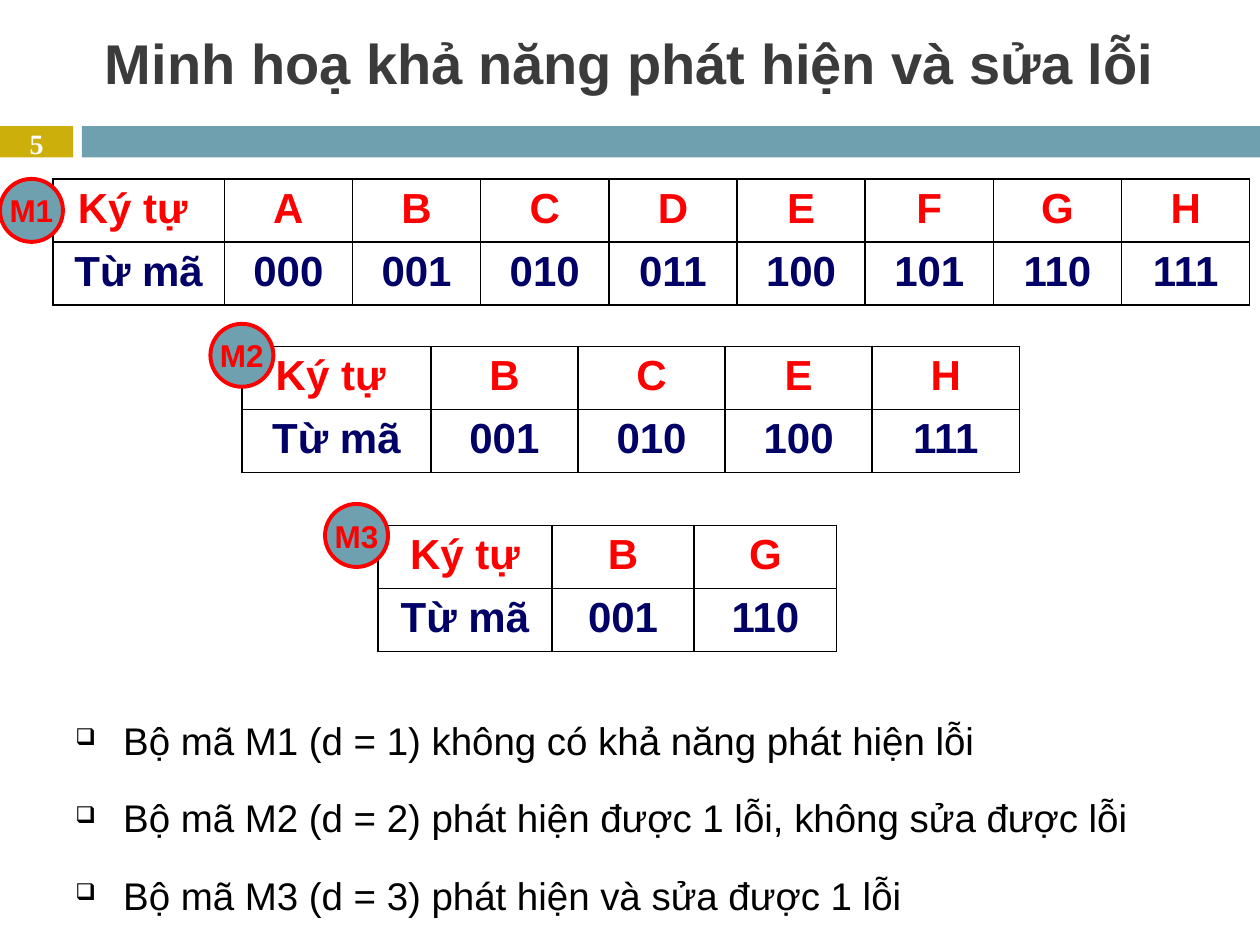
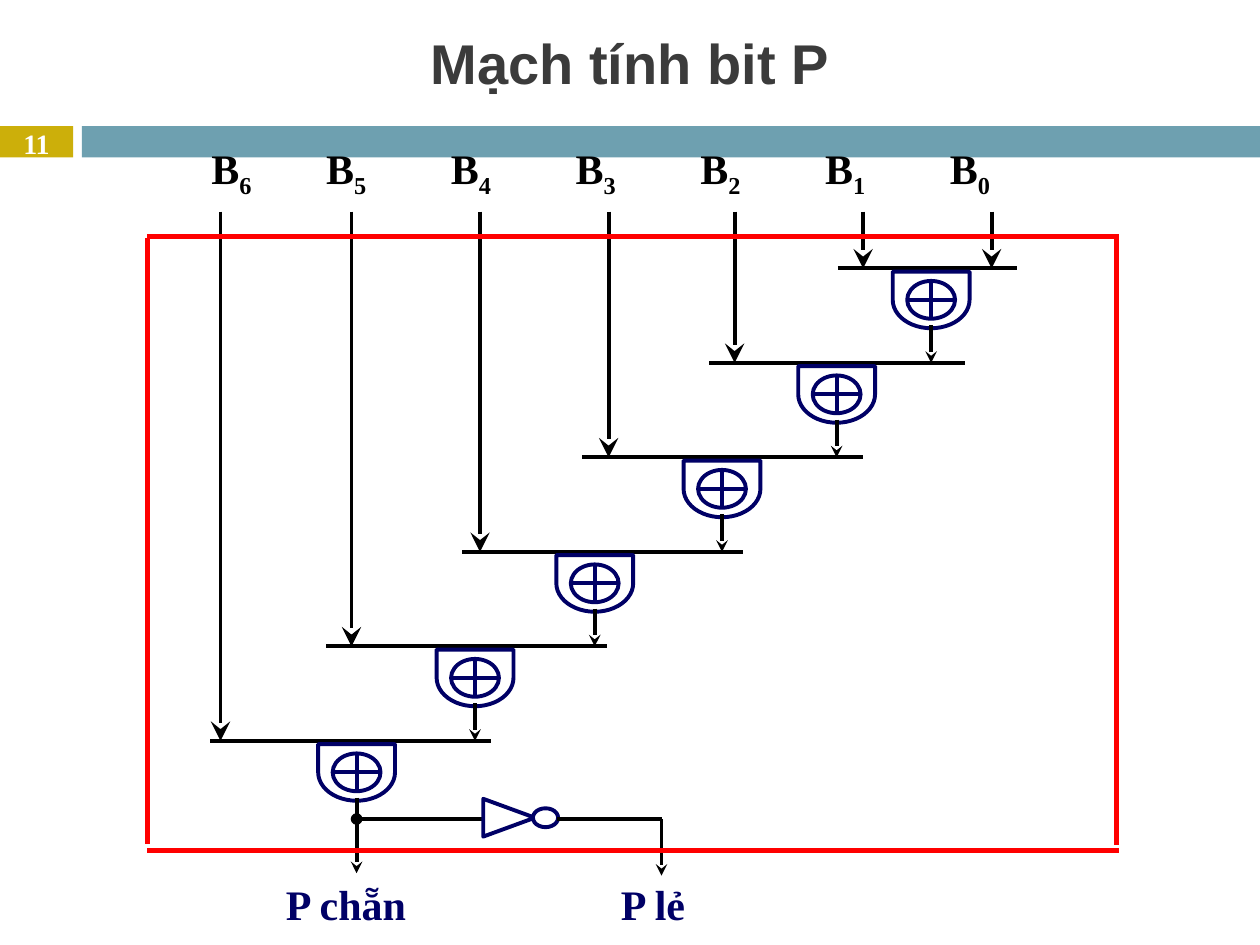
from dataclasses import dataclass

from lxml import etree
from pptx import Presentation
from pptx.dml.color import RGBColor
from pptx.enum.shapes import MSO_CONNECTOR, MSO_SHAPE
from pptx.enum.text import MSO_ANCHOR, PP_ALIGN
from pptx.oxml.ns import qn
from pptx.shapes.autoshape import Shape
from pptx.slide import Slide
from pptx.table import _Cell
from pptx.util import Inches, Pt

RECT, OVAL = MSO_SHAPE.RECTANGLE, MSO_SHAPE.OVAL
DELAY, OR_SIGN = MSO_SHAPE.FLOWCHART_DELAY, MSO_SHAPE.FLOWCHART_OR
TRIANGLE, BUBBLE = MSO_SHAPE.FLOWCHART_EXTRACT, MSO_SHAPE.FLOWCHART_CONNECTOR
STRAIGHT = MSO_CONNECTOR.STRAIGHT
LEFT, CENTER = PP_ALIGN.LEFT, PP_ALIGN.CENTER
TOP, MIDDLE = MSO_ANCHOR.TOP, MSO_ANCHOR.MIDDLE


@dataclass(frozen=True)
class Theme:
    gold: str = "CCAF0A"
    teal: str = "6EA0B0"
    title: str = "3B3B3B"
    red: str = "FF0000"
    navy: str = "000066"
    black: str = "000000"
    white: str = "FFFFFF"
    sans: str = "Arial"
    serif: str = "Times New Roman"
    title_size: float = 32
    label_size: float = 24
    bullet_size: float = 22
    badge_size: float = 18
    number_size: float = 16
    line: float = 2.25
    frame_line: float = 3


THEME = Theme()


@dataclass(frozen=True)
class Style:
    size: float
    color: str
    font: str = THEME.sans
    bold: bool = True


TITLE = Style(THEME.title_size, THEME.title)
NUMBER = Style(THEME.number_size, THEME.white, THEME.serif)
SYMBOL_ROW = Style(THEME.label_size, THEME.red)
CODE_ROW = Style(THEME.label_size, THEME.navy)
BADGE = Style(THEME.badge_size, THEME.red)
BULLET = Style(THEME.bullet_size, THEME.black, bold=False)
BIT_LABEL = Style(THEME.label_size, THEME.black, THEME.serif)
PARITY_LABEL = Style(THEME.label_size, THEME.navy, THEME.serif)


@dataclass(frozen=True)
class Box:
    left: float
    top: float
    width: float
    height: float

    def emu(self) -> list[int]:
        return [Inches(v) for v in (self.left, self.top, self.width, self.height)]


def centred(x: float, y: float, width: float, height: float) -> Box:
    return Box(x - width / 2, y - height / 2, width, height)


@dataclass(frozen=True)
class CodeTable:
    name: str
    box: Box
    first_column: float
    codes: dict[str, str]
    badge_at: tuple[float, float]
    heading: str = "Ký tự "


@dataclass(frozen=True)
class XorStage:
    bar_left: float
    bar_right: float
    gate_x: float


# Content
CODE_TABLES = [
    CodeTable("M1", Box(0.42, 1.42, 9.5, 0.95), 1.36,
              {letter: f"{i:03b}" for i, letter in enumerate("ABCDEFGH")}, (0, 1.42)),
    CodeTable("M2", Box(1.92, 2.75, 6.17, 1), 1.5,
              {"B": "001", "C": "010", "E": "100", "H": "111"}, (1.67, 2.57)),
    CodeTable("M3", Box(3, 4.17, 3.64, 1), 1.38,
              {"B": "001", "G": "110"}, (2.58, 4), heading="Ký tự"),
]
CONCLUSIONS = [
    "Bộ mã M1 (d = 1) không có khả năng phát hiện lỗi",
    "Bộ mã M2 (d = 2) phát hiện được 1 lỗi, không sửa được lỗi",
    "Bộ mã M3 (d = 3) phát hiện và sửa được 1 lỗi",
]
STAGES = [
    XorStage(6.65, 8.07, 7.39), XorStage(5.63, 7.66, 6.64), XorStage(4.62, 6.85, 5.73),
    XorStage(3.67, 5.9, 4.72), XorStage(2.59, 4.82, 3.77), XorStage(1.67, 3.9, 2.83),
]
BIT_X = [7.87, 6.85, 5.83, 4.83, 3.81, 2.79, 1.75]  # B0 to B6
FIRST_BAR_Y, STAGE_PITCH = 2.13, 0.75


# Shared drawing
def rgb(color: str) -> RGBColor:
    return RGBColor.from_string(color)


def style_runs(paragraph, style: Style) -> None:
    for run in paragraph.runs:
        font = run.font
        font.name, font.size, font.bold = style.font, Pt(style.size), style.bold
        font.color.rgb = rgb(style.color)


def add_text(slide: Slide, box: Box, text: str, style: Style,
             align: PP_ALIGN = LEFT, anchor: MSO_ANCHOR = TOP) -> Shape:
    shape = slide.shapes.add_textbox(*box.emu())
    frame = shape.text_frame
    frame.word_wrap, frame.vertical_anchor = True, anchor
    frame.text = text
    for paragraph in frame.paragraphs:
        paragraph.alignment = align
        style_runs(paragraph, style)
    return shape


def add_figure(slide: Slide, kind: MSO_SHAPE, box: Box, fill: str,
               outline: str | None = None, rotation: float = 0) -> Shape:
    shape = slide.shapes.add_shape(kind, *box.emu())
    shape.shadow.inherit = False
    shape.rotation = rotation
    shape.fill.solid()
    shape.fill.fore_color.rgb = rgb(fill)
    if outline:
        shape.line.color.rgb = rgb(outline)
        shape.line.width = Pt(THEME.line)
    else:
        shape.line.fill.background()
    return shape


def add_line(slide: Slide, x1: float, y1: float, x2: float, y2: float,
             color: str = THEME.black, width: float = THEME.line,
             head: str = "", tail: str = "", tail_size: str = "med") -> None:
    line = slide.shapes.add_connector(STRAIGHT, *map(Inches, (x1, y1, x2, y2)))
    line.line.color.rgb = rgb(color)
    line.line.width = Pt(width)
    outline = line.line._get_or_add_ln()
    for tag, kind, size in (("a:headEnd", head, "med"), ("a:tailEnd", tail, tail_size)):
        if kind:
            etree.SubElement(outline, qn(tag), type=kind, w=size, len=size)
    etree.SubElement(line._element.spPr, qn("a:effectLst"))


def start_slide(prs: Presentation, title: str, number: int) -> Slide:
    slide = prs.slides.add_slide(prs.slide_layouts[6])
    add_figure(slide, RECT, Box(0, 1, 0.58, 0.25), THEME.gold)
    add_figure(slide, RECT, Box(0.65, 1, 9.35, 0.25), THEME.teal)
    add_text(slide, Box(0, 0.08, 10, 0.83), title, TITLE, CENTER, MIDDLE)
    add_text(slide, Box(0, 1, 0.58, 0.27), str(number), NUMBER, CENTER, MIDDLE)
    return slide


# Code tables
def outline_cell(cell: _Cell) -> None:
    properties = cell._tc.get_or_add_tcPr()
    for side in ("a:lnL", "a:lnR", "a:lnT", "a:lnB"):
        border = etree.SubElement(properties, qn(side), w=str(Pt(1)))
        fill = etree.SubElement(border, qn("a:solidFill"))
        etree.SubElement(fill, qn("a:srgbClr"), val=THEME.black)
    cell.fill.background()


def add_code_table(slide: Slide, spec_of: CodeTable) -> None:
    rows = [(spec_of.heading, *spec_of.codes), ("Từ mã", *spec_of.codes.values())]
    table = slide.shapes.add_table(2, len(rows[0]), *spec_of.box.emu()).table
    table.first_row = table.horz_banding = False
    code_width = (spec_of.box.width - spec_of.first_column) / len(spec_of.codes)
    for i, column in enumerate(table.columns):
        column.width = Inches(code_width if i else spec_of.first_column)
    for r, (texts, style) in enumerate(zip(rows, (SYMBOL_ROW, CODE_ROW))):
        for c, text in enumerate(texts):
            cell = table.cell(r, c)
            cell.text = text
            paragraph = cell.text_frame.paragraphs[0]
            paragraph.alignment = CENTER
            style_runs(paragraph, style)
            outline_cell(cell)


def add_badge(slide: Slide, name: str, left: float, top: float) -> None:
    badge = add_figure(slide, OVAL, Box(left, top, 0.5, 0.5), THEME.teal, THEME.red)
    frame = badge.text_frame
    frame.word_wrap, frame.vertical_anchor = False, MIDDLE
    frame.text = name
    frame.paragraphs[0].alignment = CENTER
    style_runs(frame.paragraphs[0], BADGE)


def add_conclusions(slide: Slide) -> None:
    block = add_text(slide, Box(0.5, 5.46, 9.5, 1.82), "\n".join(CONCLUSIONS), BULLET)
    for i, paragraph in enumerate(block.text_frame.paragraphs):
        properties = paragraph._p.get_or_add_pPr()
        properties.set("marL", str(Inches(0.38)))
        properties.set("indent", str(-Inches(0.38)))
        etree.SubElement(properties, qn("a:buSzPct"), val="60000")
        etree.SubElement(properties, qn("a:buChar"), char="❑")
        paragraph.line_spacing = 1.5
        paragraph.space_before = Pt(4.6 if i else 0)


def build_code_slide(prs: Presentation) -> None:
    slide = start_slide(prs, "Minh hoạ khả năng phát hiện và sửa lỗi", 5)
    for code_table in CODE_TABLES:
        add_code_table(slide, code_table)
    add_conclusions(slide)
    for code_table in CODE_TABLES:
        add_badge(slide, code_table.name, *code_table.badge_at)


# Parity circuit
def add_bit_labels(slide: Slide) -> None:
    labels = add_text(slide, Box(1.58, 1.08, 7.17, 0.45), "", BIT_LABEL)
    paragraph = labels.text_frame.paragraphs[0]
    tabs = etree.SubElement(paragraph._p.get_or_add_pPr(), qn("a:tabLst"))
    for i in range(6):
        etree.SubElement(tabs, qn("a:tab"), pos=str(Inches(0.91 + 0.99 * i)), algn="l")
    for bit in range(6, -1, -1):
        paragraph.add_run().text = "B" if bit == 6 else "\tB"
        index = paragraph.add_run()
        index.text = str(bit)
        index._r.get_or_add_rPr().set("baseline", "-25000")
    style_runs(paragraph, BIT_LABEL)


def add_stage(slide: Slide, stage: XorStage, bar_y: float, outlet_end: float) -> None:
    x, y = stage.gate_x, bar_y + 0.25
    add_line(slide, stage.bar_left, bar_y, stage.bar_right, bar_y)
    add_figure(slide, DELAY, centred(x, y, 0.45, 0.61), THEME.white, THEME.navy, 90)
    add_figure(slide, OR_SIGN, centred(x, y, 0.38, 0.3), THEME.white, THEME.navy)
    add_line(slide, x, bar_y + 0.45, x, outlet_end, tail="stealth")


def build_circuit_slide(prs: Presentation) -> None:
    slide = start_slide(prs, "Mạch tính bit P", 11)
    add_bit_labels(slide)
    add_text(slide, Box(4.83, 6.92, 1.42, 0.45), "P lẻ", PARITY_LABEL)
    add_text(slide, Box(2.17, 6.92, 1.42, 0.45), "P chẵn", PARITY_LABEL)

    # XOR cascade: B0 and B1 enter the first stage, each later bit the next one
    bar_ys = [FIRST_BAR_Y + STAGE_PITCH * i for i in range(len(STAGES))]
    for stage, bar_y, outlet_end in zip(STAGES, bar_ys, bar_ys[1:] + [6.93]):
        add_stage(slide, stage, bar_y, outlet_end)
    for bit, x in enumerate(BIT_X):
        add_line(slide, x, 1.68, x, bar_ys[max(bit - 1, 0)], tail="stealth", tail_size="lg")

    # Inverter for odd parity
    add_line(slide, 2.83, 6.5, 3.85, 6.5, head="oval")
    add_figure(slide, TRIANGLE, centred(4.04, 6.49, 0.3, 0.41), THEME.white, THEME.navy, 90)
    add_figure(slide, BUBBLE, centred(4.33, 6.49, 0.2, 0.15), THEME.white, THEME.navy)
    add_line(slide, 4.42, 6.5, 5.25, 6.5)
    add_line(slide, 5.25, 6.5, 5.25, 6.95, tail="stealth")

    # Circuit boundary
    for ends in ((1.17, 1.88, 8.88, 1.88), (1.17, 6.75, 8.88, 6.75),
                 (1.17, 1.89, 1.17, 6.7), (8.86, 1.9, 8.86, 6.71)):
        add_line(slide, *ends, color=THEME.red, width=THEME.frame_line)


def main() -> None:
    prs = Presentation()
    prs.slide_width, prs.slide_height = Inches(10), Inches(7.5)
    build_code_slide(prs)
    build_circuit_slide(prs)
    prs.save("out.pptx")


if __name__ == "__main__":
    main()
